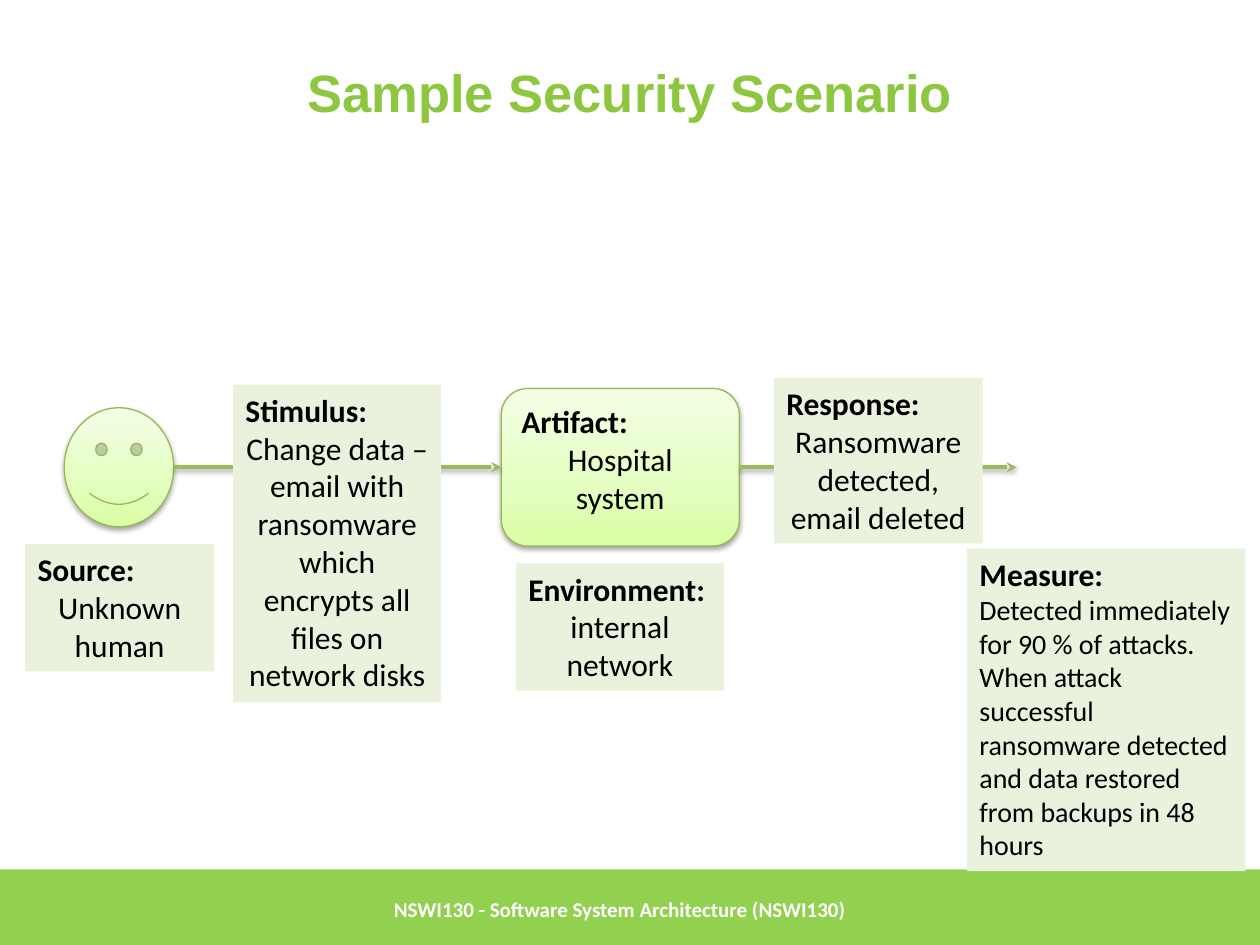
from copy import deepcopy

from lxml import etree
from pptx import Presentation
from pptx.dml.color import RGBColor
from pptx.enum.shapes import MSO_CONNECTOR, MSO_SHAPE
from pptx.enum.text import MSO_ANCHOR, MSO_AUTO_SIZE, PP_ALIGN
from pptx.oxml.ns import qn
from pptx.util import Pt

RECT = MSO_SHAPE.RECTANGLE
ROUND = MSO_SHAPE.ROUNDED_RECTANGLE
SMILEY = MSO_SHAPE.SMILEY_FACE
STRAIGHT = MSO_CONNECTOR.STRAIGHT
TOP, MIDDLE = MSO_ANCHOR.TOP, MSO_ANCHOR.MIDDLE
LEFT, CENTER = PP_ALIGN.LEFT, PP_ALIGN.CENTER

GREEN = RGBColor(0x92, 0xD0, 0x50)
TITLE = RGBColor(0x8D, 0xC6, 0x3F)
PALE = RGBColor(0xEA, 0xF1, 0xDD)
EDGE = RGBColor(0x97, 0xB8, 0x53)
ARROW = RGBColor(0x9B, 0xBB, 0x59)
WHITE = RGBColor(0xFF, 0xFF, 0xFF)
BLACK = RGBColor(0, 0, 0)
GLOSS = [
    (0, RGBColor(0xDA, 0xFE, 0xA4)),
    (0.35, RGBColor(0xE3, 0xFE, 0xBF)),
    (1, RGBColor(0xF4, 0xFE, 0xE6)),
]

AXIS = 267  # height of the arrows


def style(par, size, color, bold, align=LEFT, face="Calibri"):
    par.alignment = align
    for run in par.runs:
        font = run.font
        font.name, font.size, font.bold = face, Pt(size), bold
        font.color.rgb = color


def add_box(slide, kind, left, top, width, height, fill=None):
    box = slide.shapes.add_shape(kind, Pt(left), Pt(top), Pt(width), Pt(height))
    box.shadow.inherit = False
    box.line.fill.background()
    if fill is not None:
        box.fill.solid()
        box.fill.fore_color.rgb = fill
    return box


def add_shadow(shape):
    props = shape._element.spPr
    for old in props.findall(qn("a:effectLst")):
        props.remove(old)
    effects = etree.SubElement(props, qn("a:effectLst"))
    outer = etree.SubElement(effects, qn("a:outerShdw"), blurRad="40000",
                             dist="20000", dir="5400000", rotWithShape="0")
    color = etree.SubElement(outer, qn("a:srgbClr"), val="000000")
    etree.SubElement(color, qn("a:alpha"), val="37000")


def add_gloss(slide, kind, left, width, height):
    """Add a glossy shape centred on the arrow axis."""
    shape = add_box(slide, kind, left, AXIS - height / 2, width, height)
    shape.fill.gradient()
    shape.fill.gradient_angle = 90
    stops = shape._element.spPr.find(".//" + qn("a:gsLst"))
    stops.insert(1, deepcopy(stops[0]))
    for stop, (place, color) in zip(shape.fill.gradient_stops, GLOSS):
        stop.position = place
        stop.color.rgb = color
    shape.line.color.rgb = EDGE
    shape.line.width = Pt(0.75)
    add_shadow(shape)
    return shape


def fill_text(shape, head, lines, size=18, align=CENTER):
    frame = shape.text_frame
    frame.word_wrap = True
    frame.vertical_anchor = TOP
    frame.text = "\n".join([head, *lines])
    first, *rest = frame.paragraphs
    style(first, 18, BLACK, True)
    for par in rest:
        style(par, size, BLACK, False, align)


def add_card(slide, spot, head, lines, size=18, align=CENTER):
    card = add_box(slide, RECT, *spot, PALE)
    fill_text(card, head, lines, size, align)
    card.text_frame.auto_size = MSO_AUTO_SIZE.SHAPE_TO_FIT_TEXT


def add_arrow(slide, start, end):
    arrow = slide.shapes.add_connector(
        STRAIGHT, Pt(start), Pt(AXIS), Pt(end), Pt(AXIS))
    arrow.line.color.rgb = ARROW
    arrow.line.width = Pt(2)
    etree.SubElement(arrow.line._get_or_add_ln(), qn("a:tailEnd"),
                     type="stealth")
    add_shadow(arrow)
    return arrow


def add_title(slide, text):
    title = slide.shapes.title
    title.left, title.top = Pt(36), Pt(21.6)
    title.width, title.height = Pt(648), Pt(61.2)
    title.text_frame.text = text
    title.text_frame.vertical_anchor = MIDDLE
    style(title.text_frame.paragraphs[0], 30, TITLE, True, CENTER, "Arial")


def add_footer(slide, text):
    add_box(slide, RECT, 0, 496.8, 720, 45.2, GREEN)
    label = slide.shapes.add_textbox(Pt(218), Pt(496.8), Pt(433.4), Pt(45.2))
    frame = label.text_frame
    frame.word_wrap = True
    frame.vertical_anchor = MIDDLE
    frame.text = text
    style(frame.paragraphs[0], 12, WHITE, True)


def main():
    deck = Presentation()
    deck.slide_width, deck.slide_height = Pt(720), Pt(540)
    slide = deck.slides.add_slide(deck.slide_layouts[5])

    # Title and footer band
    add_footer(slide, "NSWI130 - Software System Architecture (NSWI130)")
    add_title(slide, "Sample Security Scenario")

    # Source and artifact
    face = add_gloss(slide, SMILEY, 36.7, 62.6, 68)
    face.adjustments[0] = 0.047
    add_card(slide, (14.4, 311, 108, 72.7), "Source:", ["Unknown human"])
    core = add_gloss(slide, ROUND, 286.5, 136, 90)
    fill_text(core, "Artifact:", ["Hospital system"])

    # Arrows into and out of the artifact, under their cards
    add_arrow(slide, 99.3, 286.5).end_connect(core, 1)
    add_card(slide, (133.2, 219.8, 119, 181.5), "Stimulus:",
             ["Change data –email with ransomware which encrypts all "
              "files on network disks"])
    add_arrow(slide, 422.5, 581).begin_connect(core, 3)

    # Surroundings, response and measure
    add_card(slide, (294.8, 322, 119, 72.7), "Environment:",
             ["internal network"])
    add_card(slide, (442.2, 216, 119.3, 94.5), "Response:",
             ["Ransomware detected, email deleted"])
    add_card(slide, (552.6, 313.6, 159, 184.2), "Measure:",
             ["Detected immediately for 90 % of attacks.",
              "When attack successful ransomware detected and data "
              "restored from backups in 48 hours"], 16, LEFT)

    deck.save("out.pptx")


if __name__ == "__main__":
    main()
